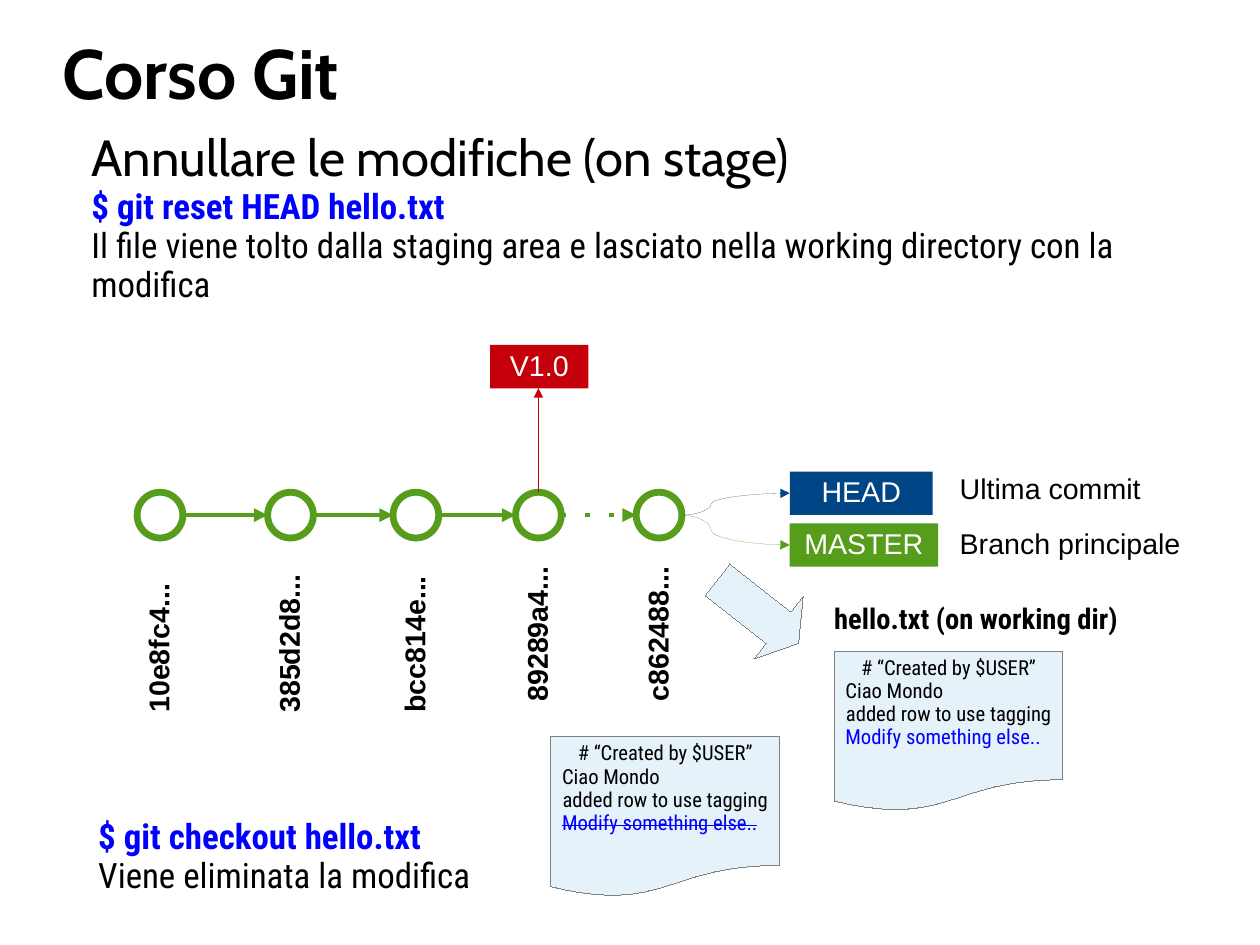
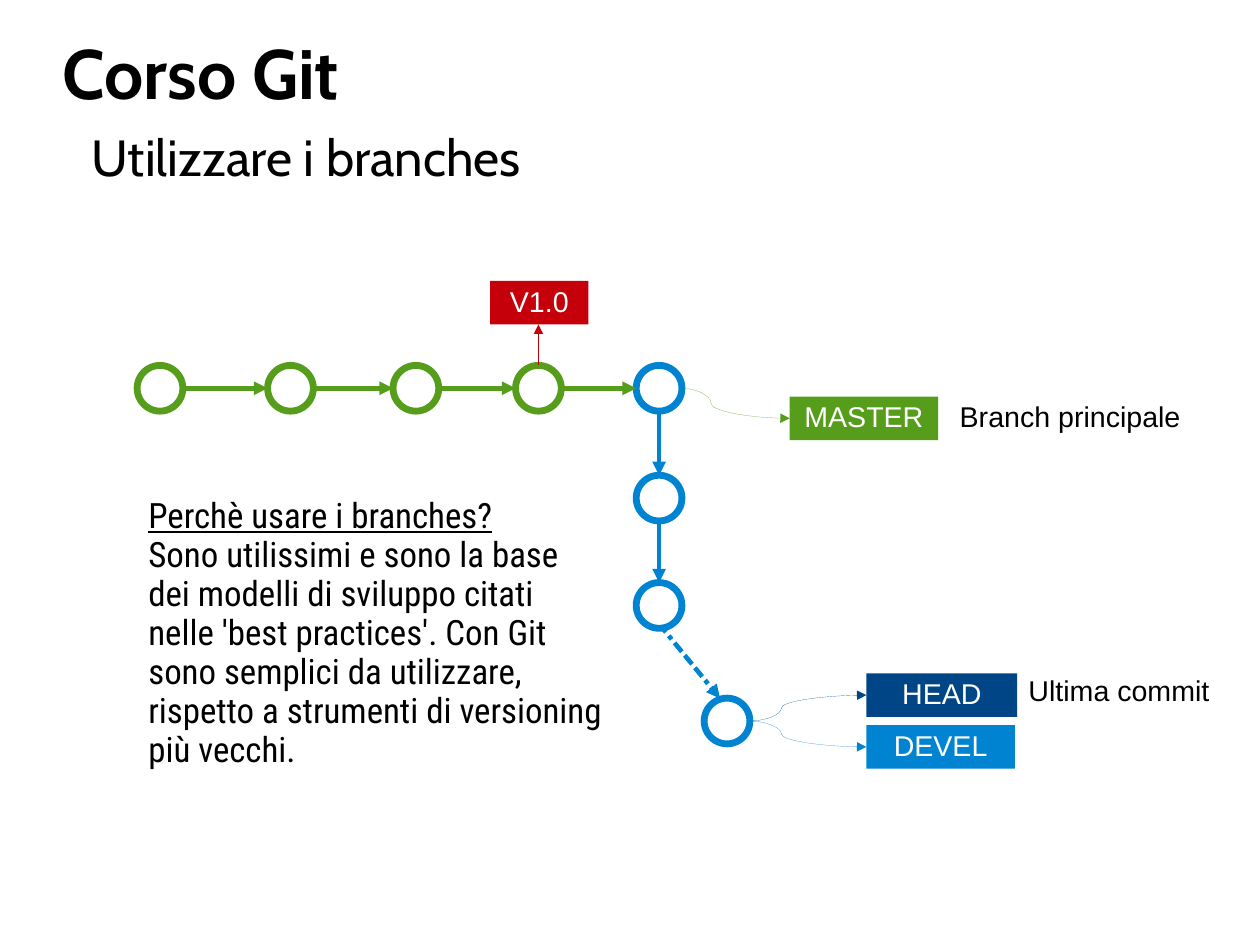
import itertools

import lxml.etree
import pptx
import pptx.dml.color
import pptx.enum.shapes
import pptx.enum.text
import pptx.oxml.ns
import pptx.util

Pt = pptx.util.Pt
qn = pptx.oxml.ns.qn
Shape = pptx.enum.shapes.MSO_SHAPE
Connector = pptx.enum.shapes.MSO_CONNECTOR
Anchor = pptx.enum.text.MSO_ANCHOR
Align = pptx.enum.text.PP_ALIGN

SLIDE_SIZE = 793.7, 595.28
GREEN, BLUE, NAVY, RED = "579D1C", "0084D1", "004586", "C5000B"
BLACK, WHITE, GREY, PALE, COMMAND_BLUE = "000000", "FFFFFF", "808080", "CFE7F5", "0000FF"

STYLES = {
    "title": dict(size=44, font="Cabin", bold=True),
    "heading": dict(size=32, font="Cabin"),
    "command": dict(size=22, font="Roboto Condensed", color=COMMAND_BLUE, bold=True),
    "text": dict(size=22, font="Roboto Condensed"),
    "question": dict(size=22, font="Roboto Condensed", underline=True),
    "file name": dict(size=18, font="Roboto Condensed", bold=True),
    "label": dict(size=18, font="Arial"),
    "hash": dict(size=18, font="Arial", bold=True),
    "tag": dict(size=18, font="Arial", color=WHITE, align=Align.CENTER),
    "file": dict(size=13, font="Roboto Condensed"),
    "file centred": dict(size=13, font="Roboto Condensed", align=Align.CENTER),
    "file added": dict(size=13, font="Roboto Condensed", color=COMMAND_BLUE),
    "file removed": dict(size=13, font="Roboto Condensed", color=COMMAND_BLUE, strike=True),
}

TITLE = "Corso Git"
TITLE_BOX = 39.5, 23.4, 713.5, 49
BODY_LEFT, BODY_TOP, BODY_WIDTH = 50.4, 79.2, 705.6
RADIUS = 14.4
TAG_HEIGHT = 27.4
COMMIT_XS = [100.8, 183, 262, 339.2, 415.2]
LABEL_LEFT = 597.5
MASTER_TAG_LEFT = 497.5
# Dash patterns: (dash, gap) in percent of the line width
DOTTED = [(100, 420)]
DOTS_AND_DASHES = [(100, 100)] * 2 + [(250, 100)] * 3

RESET_BODY = [
    ("Annullare le modifiche (on stage)", "heading"),
    ("$ git reset HEAD hello.txt", "command"),
    ("Il file viene tolto dalla staging area e lasciato nella working directory con la modifica", "text"),
]
CHECKOUT = [("$ git checkout hello.txt", "command"), ("Viene eliminata la modifica", "text")]
# Commit hash and the bottom of its upright label
HASHES = [("10e8fc4...", 456), ("385d2d8...", 456), ("bcc814e...", 456),
          ("89289a4...", 449), ("c862488...", 449)]
HELLO_FILE = [
    ("# “Created by $USER”", "file centred"),
    ("Ciao Mondo", "file"),
    ("added row to use tagging", "file centred"),
]
CHANGED_ROW = "Modify something else.."
FILES = [(525.5, 410.2, "file added"), (347, 464.2, "file removed")]

BRANCH_BODY = [("Utilizzare i branches", "heading")]
WHY_BRANCHES = [
    ("Perchè usare i branches?", "question"),
    ("Sono utilissimi e sono la base dei modelli di sviluppo citati nelle 'best practices'. "
     "Con Git sono semplici da utilizzare, rispetto a strumenti di versioning più vecchi.", "text"),
]
BRANCH_YS = [313.8, 381.4]
LAST_COMMIT = 458, 454.2


def rgb(value):
    return pptx.dml.color.RGBColor.from_string(value)


def write(frame, lines):
    """Fill a text frame with (text, style name) paragraphs."""
    for number, (text, style_name) in enumerate(lines):
        style = STYLES[style_name]
        paragraph = frame.paragraphs[0] if number == 0 else frame.add_paragraph()
        paragraph.text = text
        paragraph.alignment = style.get("align", Align.LEFT)
        paragraph.line_spacing = 0.93
        paragraph.space_before = Pt(0)
        run = paragraph.runs[0]
        run.font.size = Pt(style["size"])
        run.font.name = style["font"]
        run.font.bold = style.get("bold", False)
        run.font.underline = style.get("underline", False)
        run.font.color.rgb = rgb(style.get("color", BLACK))
        if style.get("strike"):
            run.font._element.set("strike", "sngStrike")


def place(shape, left, top, width, height):
    shape.left, shape.top, shape.width, shape.height = map(Pt, (left, top, width, height))


def set_line(shape, color, width):
    """Colour a line and write its width even when it is zero, a hairline."""
    shape.line.color.rgb = rgb(color)
    line = shape._element.spPr.find(qn("a:ln"))
    line.set("w", str(Pt(width)))
    return line


def add_text(slide, left, top, width, height, lines):
    box = slide.shapes.add_textbox(*map(Pt, (left, top, width, height)))
    box.text_frame.word_wrap = True
    write(box.text_frame, lines)
    return box


def add_figure(slide, kind, left, top, width, height, fill=None, line=None, line_width=0, alpha=None):
    figure = slide.shapes.add_shape(kind, *map(Pt, (left, top, width, height)))
    figure.shadow.inherit = False
    if fill:
        figure.fill.solid()
        figure.fill.fore_color.rgb = rgb(fill)
    else:
        figure.fill.background()
    if alpha:
        color = figure._element.spPr.find(qn("a:solidFill")).find(qn("a:srgbClr"))
        lxml.etree.SubElement(color, qn("a:alpha"), val=str(alpha * 1000))
    if line:
        set_line(figure, line, line_width)
    else:
        figure.line.fill.background()
    return figure


def add_commit(slide, center, color):
    x, y = center
    add_figure(slide, Shape.OVAL, x - RADIUS, y - RADIUS, 2 * RADIUS, 2 * RADIUS,
               line=color, line_width=4.3)


def add_tag(slide, text, left, top, width, color):
    tag = add_figure(slide, Shape.RECTANGLE, left, top, width, TAG_HEIGHT, fill=color)
    tag.text_frame.vertical_anchor = Anchor.MIDDLE
    write(tag.text_frame, [(text, "tag")])


def add_arrow(slide, start, end, color, width=2.9, dashes=(), bend=None):
    """Draw an arrow; bend is the turning point of a curve, in percent."""
    kind = Connector.CURVE if bend else Connector.STRAIGHT
    arrow = slide.shapes.add_connector(kind, *map(Pt, (*start, *end)))
    line = set_line(arrow, color, width)
    properties = arrow._element.spPr
    if dashes:
        pattern = lxml.etree.SubElement(line, qn("a:custDash"))
        for dash, gap in dashes:
            lxml.etree.SubElement(pattern, qn("a:ds"), d=str(dash * 1000), sp=str(gap * 1000))
    lxml.etree.SubElement(line, qn("a:tailEnd"), type="triangle")
    lxml.etree.SubElement(properties, qn("a:effectLst"))
    if bend:
        geometry = properties.find(qn("a:prstGeom"))
        guides = geometry.find(qn("a:avLst"))
        if guides is None:
            guides = lxml.etree.SubElement(geometry, qn("a:avLst"))
        lxml.etree.SubElement(guides, qn("a:gd"), name="adj1", fmla=f"val {bend * 1000}")


def add_branch_tag(slide, commit, text, left, top, width, color):
    """Add a tag and the thin curve that leads to it from a commit."""
    add_tag(slide, text, left, top, width, color)
    x, y = commit
    add_arrow(slide, (x + RADIUS, y), (left, top + TAG_HEIGHT / 2), color, width=0, bend=27)


def add_main_branch(slide, y, version_top, last_color, last_dashes=()):
    """Draw the five commits, their arrows and the version tag."""
    last = len(COMMIT_XS) - 1
    for number, x in enumerate(COMMIT_XS):
        add_commit(slide, (x, y), last_color if number == last else GREEN)
    for number, (x, following) in enumerate(itertools.pairwise(COMMIT_XS), 1):
        add_arrow(slide, (x + RADIUS, y), (following - RADIUS, y), GREEN,
                  dashes=last_dashes if number == last else ())
    version_x = COMMIT_XS[3]
    add_tag(slide, "V1.0", version_x - 30.5, version_top, 62, RED)
    add_arrow(slide, (version_x, y - RADIUS), (version_x, version_top + TAG_HEIGHT), RED, width=0)


def add_master(slide, commit, top):
    add_branch_tag(slide, commit, "MASTER", MASTER_TAG_LEFT, top, 93.5, GREEN)
    add_text(slide, LABEL_LEFT, top, 158.5, TAG_HEIGHT, [("Branch principale", "label")])


def add_head(slide, commit, left, top, width, label_left):
    add_branch_tag(slide, commit, "HEAD", left, top, width, NAVY)
    add_text(slide, label_left, top - 2, 144, 29, [("Ultima commit", "label")])


def add_slide(deck, body_lines, body_height):
    slide = deck.slides.add_slide(deck.slide_layouts[1])
    title, body = slide.placeholders
    place(title, *TITLE_BOX)
    place(body, BODY_LEFT, BODY_TOP, BODY_WIDTH, body_height)
    for placeholder in (title, body):
        placeholder.text_frame.auto_size = pptx.enum.text.MSO_AUTO_SIZE.NONE
        placeholder.text_frame.word_wrap = True
    frame = title.text_frame
    frame.margin_left = frame.margin_top = frame.margin_right = frame.margin_bottom = 0
    frame.vertical_anchor = Anchor.MIDDLE
    write(frame, [(TITLE, "title")])
    write(body.text_frame, body_lines)
    for paragraph in body.text_frame.paragraphs:
        properties = paragraph._p.get_or_add_pPr()
        properties.set("marL", "0")
        properties.set("indent", "0")
        lxml.etree.SubElement(properties, qn("a:buNone"))
    return slide


def build_reset_slide(deck):
    slide = add_slide(deck, RESET_BODY, 116.5)
    y = 324.5
    newest = COMMIT_XS[-1], y
    add_main_branch(slide, y, 217.2, GREEN, DOTTED)
    add_head(slide, newest, MASTER_TAG_LEFT, 297, 90, LABEL_LEFT)
    add_master(slide, newest, 329.6)

    length, thickness = 108, TAG_HEIGHT
    for x, (commit_hash, bottom) in zip(COMMIT_XS, HASHES):
        label = add_text(slide, x - length / 2, bottom - (length + thickness) / 2,
                         length, thickness, [(commit_hash, "hash")])
        label.rotation = 270

    unstage = add_figure(slide, Shape.RIGHT_ARROW, 445, 360, 65, 50.4, PALE, GREY, alpha=50)
    unstage.adjustments[1] = 0.32
    unstage.rotation = 38.1
    add_text(slide, 518.4, 377.2, 230.4, 47.5, [("hello.txt (on working dir)", "file name")])
    for left, top, row_style in FILES:
        hello = add_figure(slide, Shape.FLOWCHART_DOCUMENT, left, top, 144, 101, PALE, GREY, alpha=50)
        hello.text_frame.word_wrap = False
        hello.text_frame.vertical_anchor = Anchor.TOP
        write(hello.text_frame, HELLO_FILE + [(CHANGED_ROW, row_style)])
    add_text(slide, 54.8, 511.8, 255.6, 60, CHECKOUT)


def build_branches_slide(deck):
    slide = add_slide(deck, BRANCH_BODY, 43)
    y = 244.6
    x = COMMIT_XS[-1]
    add_main_branch(slide, y, 177, BLUE)
    add_master(slide, (x, y), 249.8)

    for upper, lower in itertools.pairwise([y, *BRANCH_YS]):
        add_commit(slide, (x, lower), BLUE)
        add_arrow(slide, (x, upper + RADIUS), (x, lower - RADIUS), BLUE)
    add_commit(slide, LAST_COMMIT, BLUE)
    add_arrow(slide, (417.6, 396), (453.6, 440), BLUE, dashes=DOTS_AND_DASHES)
    add_head(slide, LAST_COMMIT, 545.8, 424.2, 95, 640.8)
    add_branch_tag(slide, LAST_COMMIT, "DEVEL", 545.8, 456.8, 93.5, BLUE)
    add_text(slide, 86.4, 309.6, 302.4, 204, WHY_BRANCHES)


def main():
    deck = pptx.Presentation()
    deck.slide_width, deck.slide_height = map(Pt, SLIDE_SIZE)
    build_reset_slide(deck)
    build_branches_slide(deck)
    deck.save("out.pptx")


if __name__ == "__main__":
    main()
